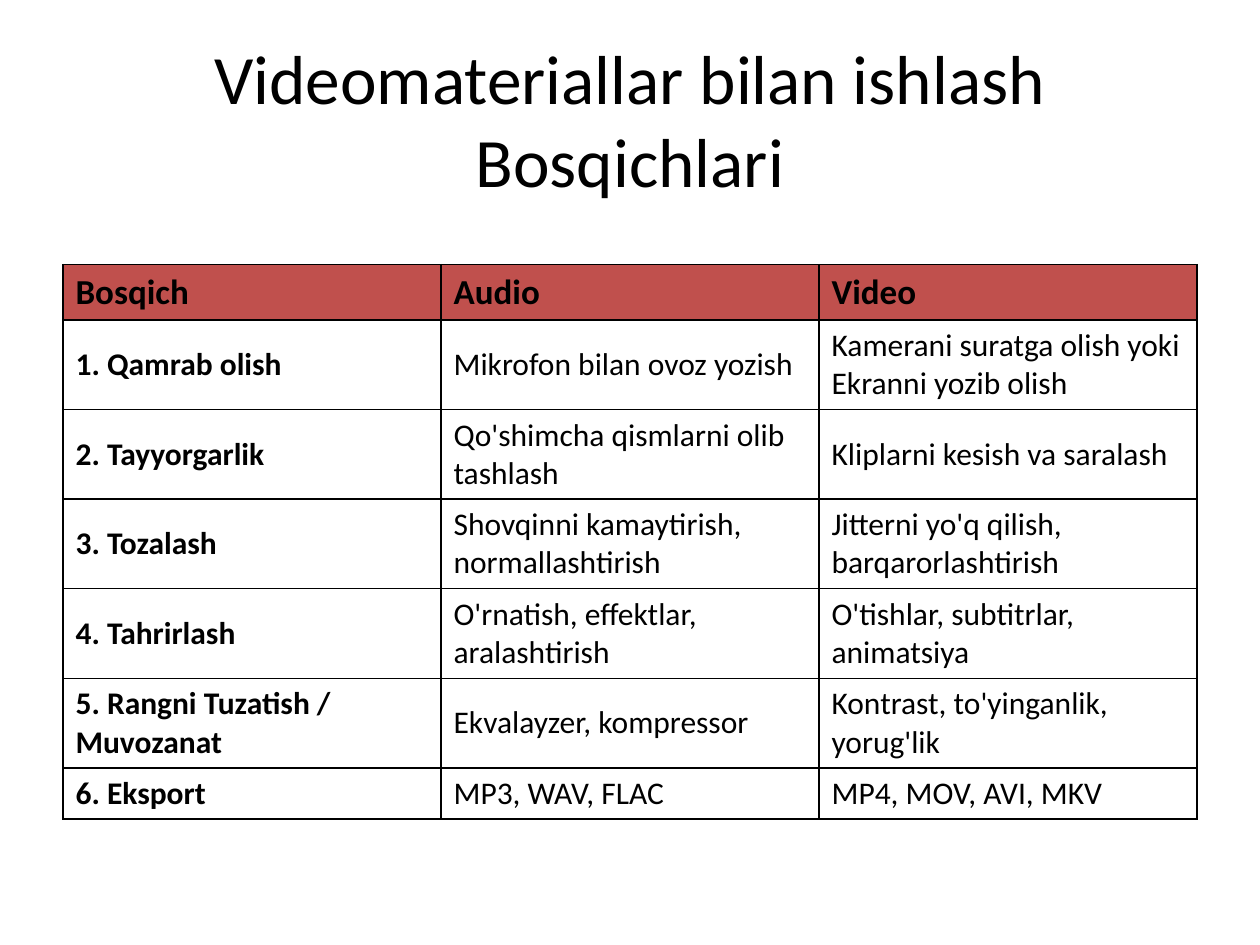
import dataclasses

import pptx
import pptx.dml.color
import pptx.enum.text
import pptx.oxml
import pptx.oxml.ns
import pptx.util


@dataclasses.dataclass(frozen=True)
class Theme:
    font: str = "Calibri"
    text: str = "000000"
    header_fill: str = "C0504D"
    border: str = "000000"
    border_width: float = 1
    title_size: float = 39.6
    header_size: float = 20
    body_size: float = 18


THEME = Theme()
WIDTH, HEIGHT = pptx.util.Inches(10), pptx.util.Inches(7.5)
MARGIN = 0.05  # share of the slide's width

TITLE = "Videomateriallar bilan ishlash Bosqichlari"
STAGES = [
    ("Bosqich", "Audio", "Video"),
    ("1. Qamrab olish", "Mikrofon bilan ovoz yozish",
     "Kamerani suratga olish yoki Ekranni yozib olish"),
    ("2. Tayyorgarlik", "Qo'shimcha qismlarni olib tashlash",
     "Kliplarni kesish va saralash"),
    ("3. Tozalash", "Shovqinni kamaytirish, normallashtirish",
     "Jitterni yo'q qilish, barqarorlashtirish"),
    ("4. Tahrirlash", "O'rnatish, effektlar, aralashtirish",
     "O'tishlar, subtitrlar, animatsiya"),
    ("5. Rangni Tuzatish / Muvozanat", "Ekvalayzer, kompressor",
     "Kontrast, to'yinganlik, yorug'lik"),
    ("6. Eksport", "MP3, WAV, FLAC", "MP4, MOV, AVI, MKV"),
]
HEADER_ROW, STAGE_ROW, LAST_ROW = 0.44, 0.71, 0.4  # inches


def box(left, top, width, height):
    """Turn shares of the slide into left, top, width and height."""
    return (int(left * WIDTH), int(top * HEIGHT),
            int(width * WIDTH), int(height * HEIGHT))


def format_runs(paragraph, size, bold=False):
    for run in paragraph.runs:
        run.font.name = THEME.font
        run.font.size = pptx.util.Pt(size)
        run.font.bold = bold
        run.font.color.rgb = pptx.dml.color.RGBColor.from_string(THEME.text)


def add_borders(cell):
    properties = cell._tc.get_or_add_tcPr()
    for side in ("lnL", "lnR", "lnT", "lnB"):
        properties.append(pptx.oxml.parse_xml(
            f'<a:{side} {pptx.oxml.ns.nsdecls("a")} '
            f'w="{pptx.util.Pt(THEME.border_width)}"><a:solidFill>'
            f'<a:srgbClr val="{THEME.border}"/></a:solidFill></a:{side}>'))


def place_title(slide, area):
    title = slide.shapes.title
    title.left, title.top, title.width, title.height = area
    text_frame = title.text_frame
    text_frame.text = TITLE
    text_frame.word_wrap = True
    text_frame.auto_size = pptx.enum.text.MSO_AUTO_SIZE.NONE
    text_frame.vertical_anchor = pptx.enum.text.MSO_ANCHOR.MIDDLE
    paragraph = text_frame.paragraphs[0]
    paragraph.alignment = pptx.enum.text.PP_ALIGN.CENTER
    format_runs(paragraph, THEME.title_size)


def fill_cell(cell, text, is_header, is_stage_name):
    cell.text_frame.text = text
    cell.vertical_anchor = pptx.enum.text.MSO_ANCHOR.MIDDLE
    size = THEME.header_size if is_header else THEME.body_size
    format_runs(cell.text_frame.paragraphs[0], size, is_header or is_stage_name)
    # Borders come before the fill in the cell's properties
    add_borders(cell)
    if is_header:
        cell.fill.solid()
        cell.fill.fore_color.rgb = pptx.dml.color.RGBColor.from_string(THEME.header_fill)
    else:
        cell.fill.background()


def place_stage_table(slide, area):
    table = slide.shapes.add_table(len(STAGES), len(STAGES[0]), *area).table
    table.horz_banding = False
    table.first_row = False

    # Row heights
    heights = [HEADER_ROW] + [STAGE_ROW] * (len(STAGES) - 2) + [LAST_ROW]
    for row, height in zip(table.rows, heights):
        row.height = pptx.util.Inches(height)

    # Cells
    for row_index, texts in enumerate(STAGES):
        for column_index, text in enumerate(texts):
            fill_cell(table.cell(row_index, column_index), text,
                      row_index == 0, column_index == 0)


def main():
    presentation = pptx.Presentation()
    presentation.slide_width, presentation.slide_height = WIDTH, HEIGHT
    title_only = presentation.slide_layouts[5]
    slide = presentation.slides.add_slide(title_only)
    place_title(slide, box(MARGIN, 0.04, 1 - 2 * MARGIN, 0.17))
    place_stage_table(slide, box(MARGIN, 0.28, 1 - 2 * MARGIN, 0.58))
    presentation.save("out.pptx")


if __name__ == "__main__":
    main()
